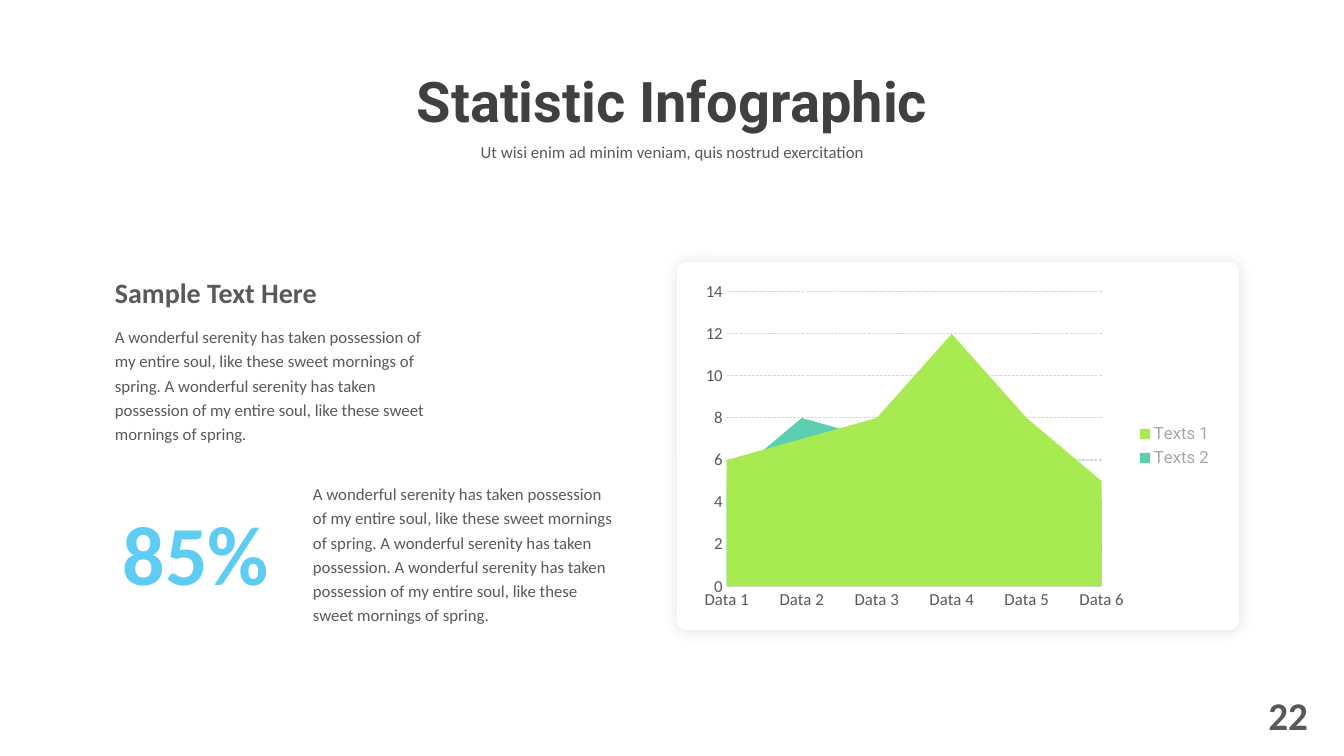
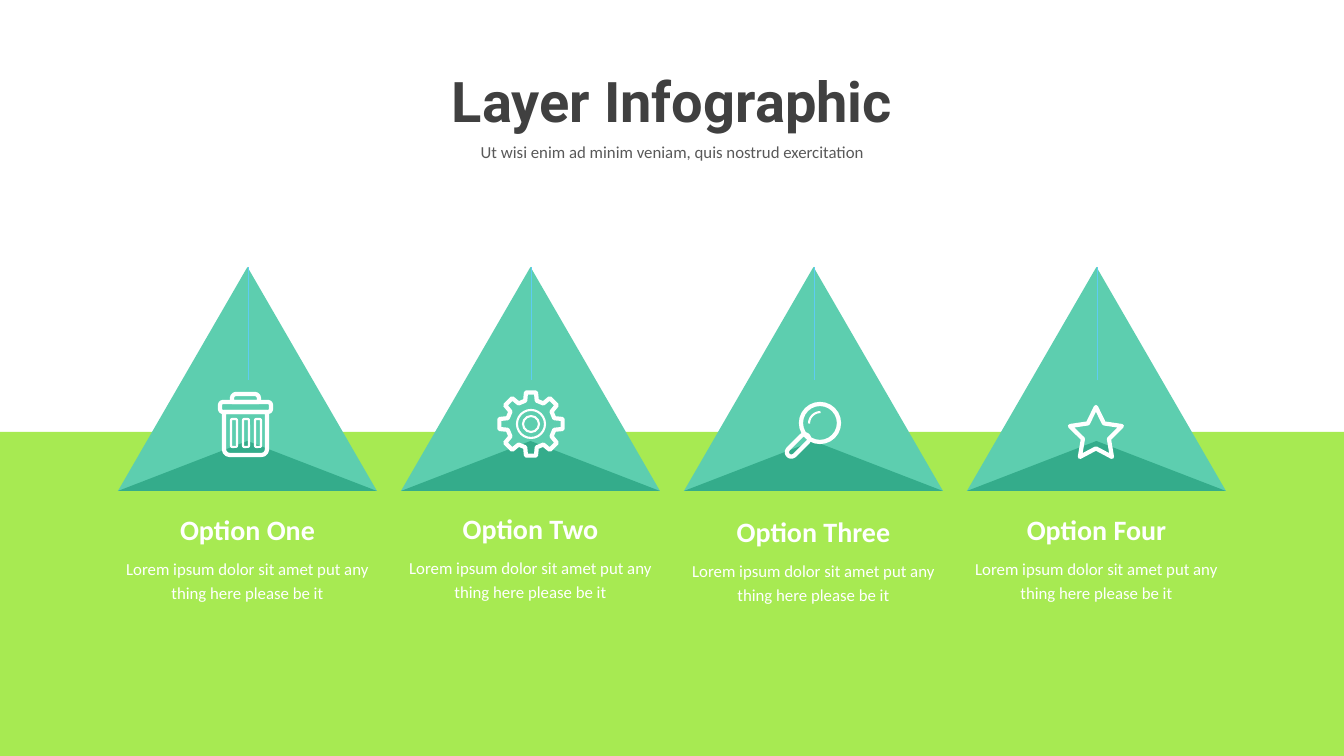
from math import cos, radians, sin

from lxml.etree import SubElement
from pptx import Presentation
from pptx.chart.data import CategoryChartData
from pptx.dml.color import RGBColor
from pptx.enum.chart import XL_CHART_TYPE, XL_LEGEND_POSITION, XL_TICK_MARK
from pptx.enum.dml import MSO_LINE
from pptx.enum.shapes import MSO_CONNECTOR, MSO_SHAPE as SHAPE
from pptx.enum.text import MSO_ANCHOR, MSO_AUTO_SIZE, PP_ALIGN as ALIGN
from pptx.oxml.ns import qn
from pptx.util import Pt

PX = 914400 / 100.8
WHITE = RGBColor(0xFF, 0xFF, 0xFF)
TITLE_GRAY = RGBColor(0x40, 0x40, 0x40)
TEXT_GRAY = RGBColor(0x59, 0x59, 0x59)
LEGEND_GRAY = RGBColor(0xA6, 0xA6, 0xA6)
LINE_GRAY = RGBColor(0xD9, 0xD9, 0xD9)
LIME = RGBColor(0xA7, 0xEA, 0x52)
TEAL = RGBColor(0x5D, 0xCE, 0xAF)
DARK_TEAL = RGBColor(0x34, 0xAC, 0x8B)
SKY = RGBColor(0x5E, 0xCC, 0xF3)
BODY_FONT = "Calibri"
TITLE_FONT = "Roboto"


def px(*lengths):
    return [round(length * PX) for length in lengths]


def write(shape, text, size=12, color=TEXT_GRAY, bold=False, align=ALIGN.LEFT,
          font=BODY_FONT, spacing=1.0, anchor=MSO_ANCHOR.TOP):
    frame = shape.text_frame
    frame.text = text
    frame.word_wrap = True
    frame.auto_size = MSO_AUTO_SIZE.NONE
    frame.vertical_anchor = anchor
    paragraph = frame.paragraphs[0]
    paragraph.alignment = align
    paragraph.line_spacing = spacing
    run_font = paragraph.runs[0].font
    run_font.name = font
    run_font.size = Pt(size)
    run_font.bold = bold
    run_font.color.rgb = color


presentation = Presentation()
presentation.slide_width, presentation.slide_height = px(1344, 756)
slides = []
for heading in ("Statistic Infographic", "Layer Infographic"):
    slide = presentation.slides.add_slide(presentation.slide_layouts[5])
    title = slide.shapes.title
    title.left, title.top, title.width, title.height = px(336, 61, 672, 78)
    write(title, heading, 40, TITLE_GRAY, True, ALIGN.CENTER, TITLE_FONT)
    subtitle = slide.shapes.add_textbox(*px(453, 133, 439, 49))
    write(subtitle, "Ut wisi enim ad minim veniam, quis nostrud exercitation",
          align=ALIGN.CENTER, spacing=1.2)
    slides.append(slide)
statistic_slide, layer_slide = slides

shapes = statistic_slide.shapes
write(shapes.add_textbox(*px(1157, 686, 161, 57)), "22", 28, bold=True, align=ALIGN.RIGHT)
write(shapes.add_textbox(*px(105, 270, 295, 44)), "Sample Text Here", 20, bold=True,
      anchor=MSO_ANCHOR.MIDDLE)
write(shapes.add_textbox(*px(105, 497, 174, 112)), "85%", 60, SKY, True, ALIGN.RIGHT)
write(shapes.add_textbox(*px(105, 318, 346, 154)),
      "A wonderful serenity has taken possession of my entire soul, like these sweet "
      "mornings of spring. A wonderful serenity has taken possession of my entire soul, "
      "like these sweet mornings of spring.", spacing=1.2)
write(shapes.add_textbox(*px(303, 475, 320, 154)),
      "A wonderful serenity has taken possession of my entire soul, like these sweet "
      "mornings of spring. A wonderful serenity has taken possession. A wonderful serenity "
      "has taken possession of my entire soul, like these sweet mornings of spring.",
      spacing=1.2)

card = shapes.add_shape(SHAPE.ROUNDED_RECTANGLE, *px(677, 262, 562, 368))
card.adjustments[0] = 0.025
card.fill.solid()
card.fill.fore_color.rgb = WHITE
card.line.fill.background()
card.shadow.inherit = False
effects = card._element.spPr.find(qn("a:effectLst"))
shadow = SubElement(effects, qn("a:outerShdw"), blurRad=str(Pt(11)), dist="0", algn="ctr")
shadow_color = SubElement(shadow, qn("a:srgbClr"), val="000000")
SubElement(shadow_color, qn("a:alpha"), val="11000")

chart_data = CategoryChartData()
chart_data.categories = [f"Data {number}" for number in range(1, 7)]
chart_data.add_series("Texts 1", (6, 7, 8, 12, 8, 5))
chart_data.add_series("Texts 2", (5, 8, 7, 10, 6, 4))
chart = shapes.add_chart(XL_CHART_TYPE.AREA, *px(694, 275, 529, 342), chart_data).chart
chart.has_title = False
chart.font.name = TITLE_FONT
chart.font.size = Pt(12)
for series, color in zip(chart.plots[0].series, (LIME, TEAL)):
    series.format.fill.solid()
    series.format.fill.fore_color.rgb = color
    series.format.line.fill.background()
chart.plots[0].vary_by_categories = False

chart.has_legend = True
chart.legend.position = XL_LEGEND_POSITION.RIGHT
chart.legend.include_in_layout = False
legend_font = chart.legend.font
legend_font.name = TITLE_FONT
legend_font.size = Pt(12)
legend_font.color.rgb = LEGEND_GRAY

category_axis, value_axis = chart.category_axis, chart.value_axis
for axis in (category_axis, value_axis):
    axis.major_tick_mark = axis.minor_tick_mark = XL_TICK_MARK.NONE
    axis_font = axis.tick_labels.font
    axis_font.name = BODY_FONT
    axis_font.size = Pt(12)
    axis_font.color.rgb = TEXT_GRAY
category_axis.has_major_gridlines = False
value_axis.has_major_gridlines = True
value_axis.minimum_scale, value_axis.maximum_scale, value_axis.major_unit = 0, 14, 2
value_axis.format.line.fill.background()
gridline = value_axis.major_gridlines.format.line
for line in (category_axis.format.line, gridline):
    line.color.rgb = LINE_GRAY
    line.width = Pt(0.75)
gridline.dash_style = MSO_LINE.SQUARE_DOT

shapes = layer_slide.shapes
band = shapes.add_shape(SHAPE.RECTANGLE, *px(0, 432, 1344, 324))
band.fill.solid()
band.fill.fore_color.rgb = LIME
band.line.fill.background()
band.shadow.inherit = False

COLUMN_STEP = 283
options = [("Option One", 508), ("Option Two", 507), ("Option Three", 510), ("Option Four", 508)]
for column, (label, top) in enumerate(options):
    offset = column * COLUMN_STEP
    write(shapes.add_textbox(*px(106 + offset, top, COLUMN_STEP, 40)), label, 20, WHITE, True,
          ALIGN.CENTER)
    write(shapes.add_textbox(*px(106 + offset, top + 42, COLUMN_STEP, 58)),
          "Lorem ipsum dolor sit amet put any thing here please be it",
          color=WHITE, align=ALIGN.CENTER, spacing=1.2)
    for triangle_top, height, color in ((267, 224, TEAL), (441, 50, DARK_TEAL)):
        triangle = shapes.add_shape(SHAPE.ISOSCELES_TRIANGLE,
                                    *px(118 + offset, triangle_top, 259, height))
        triangle.fill.solid()
        triangle.fill.fore_color.rgb = color
        triangle.line.fill.background()
        triangle.shadow.inherit = False
    ridge = shapes.add_connector(MSO_CONNECTOR.STRAIGHT,
                                 *px(248 + offset, 267, 248 + offset, 380))
    ridge.line.color.rgb = SKY
    ridge.line.width = Pt(0.5)
    SubElement(ridge._element.spPr, qn("a:effectLst"))

THICK, THIN = 3, 1.5
icon_parts = [
    (SHAPE.ROUND_2_SAME_RECTANGLE, (232, 394, 27, 8), THICK, 0.5, 0),
    (SHAPE.ROUNDED_RECTANGLE, (220, 402, 51, 10), THICK, 0.3, 0),
    (SHAPE.ROUND_2_SAME_RECTANGLE, (224, 412, 43, 43), THICK, 0.13, 180),
    (SHAPE.OVAL, (517, 410, 28, 28), THIN, None, 0),
    (SHAPE.OVAL, (523, 416, 16, 16), THIN, None, 0),
    (SHAPE.OVAL, (801, 404, 38, 38), THICK, None, 0),
    (SHAPE.ROUNDED_RECTANGLE, (784, 441, 28, 9), THICK, 0.5, 135),
    (SHAPE.ARC, (809, 412, 23, 23), THIN, None, 270),
    (SHAPE.STAR_5_POINT, (1070, 407, 52, 50), THICK, 0.25, 0),
]
for slot in range(3):
    icon_parts.append((SHAPE.ROUNDED_RECTANGLE, (231 + 12 * slot, 419, 6, 28), THIN, 0.2, 0))

outlines = []
for kind, bounds, weight, adjustment, rotation in icon_parts:
    part = shapes.add_shape(kind, *px(*bounds))
    part.rotation = rotation
    if adjustment is not None:
        part.adjustments[0] = adjustment
    outlines.append((part, weight))

gear_points = []
for tooth in range(8):
    for turn, radius in ((-14, 24), (-9, 32), (9, 32), (14, 24)):
        angle = radians(45 * tooth + turn)
        gear_points.append(px(531 + radius * cos(angle), 424 + radius * sin(angle)))
builder = shapes.build_freeform(*gear_points[0])
builder.add_line_segments(gear_points[1:], close=True)
outlines.append((builder.convert_to_shape(), THICK))

for part, weight in outlines:
    part.fill.background()
    part.line.color.rgb = WHITE
    part.line.width = Pt(weight)
    SubElement(part.line._get_or_add_ln(), qn("a:round"))
    part.shadow.inherit = False

presentation.save("out.pptx")
